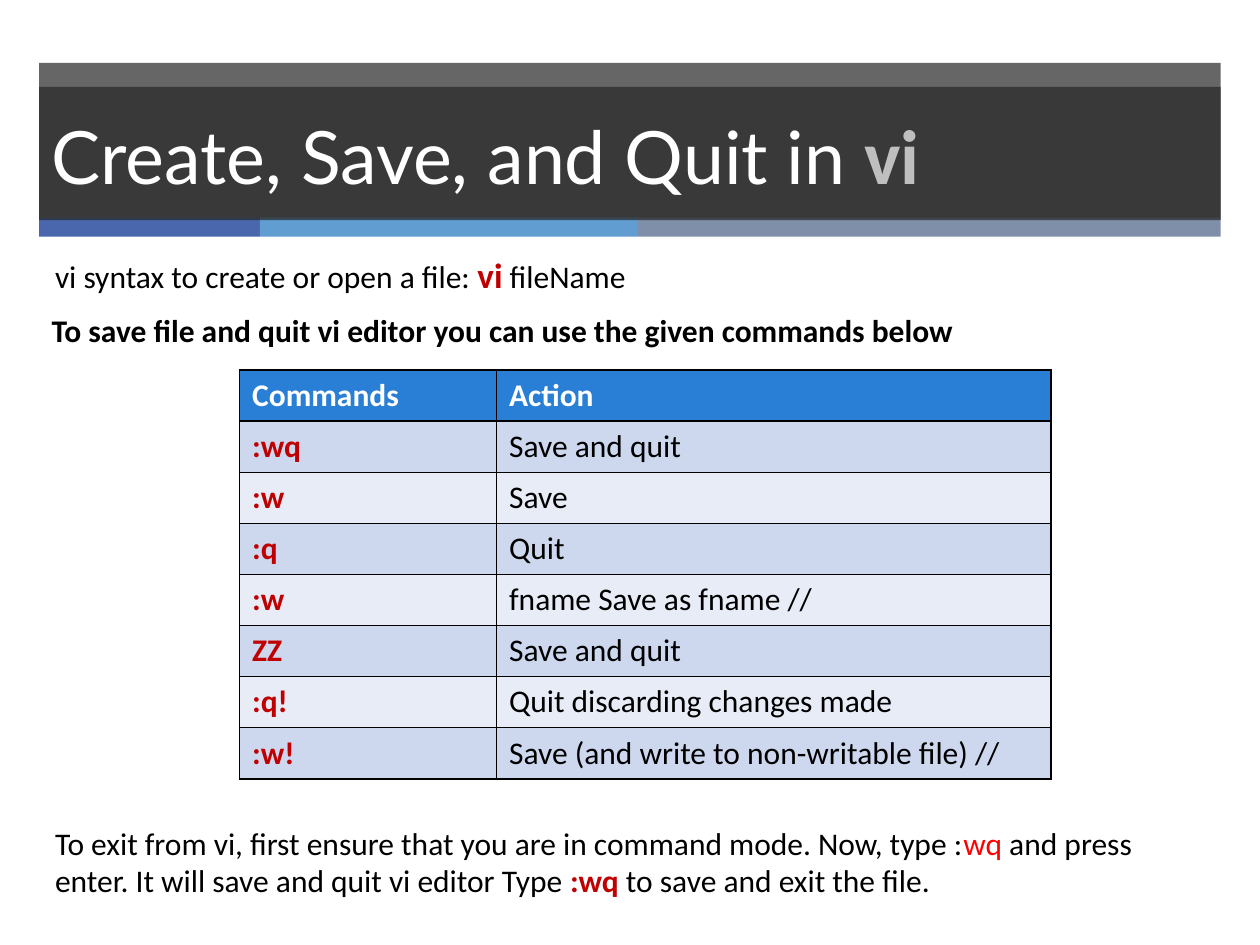
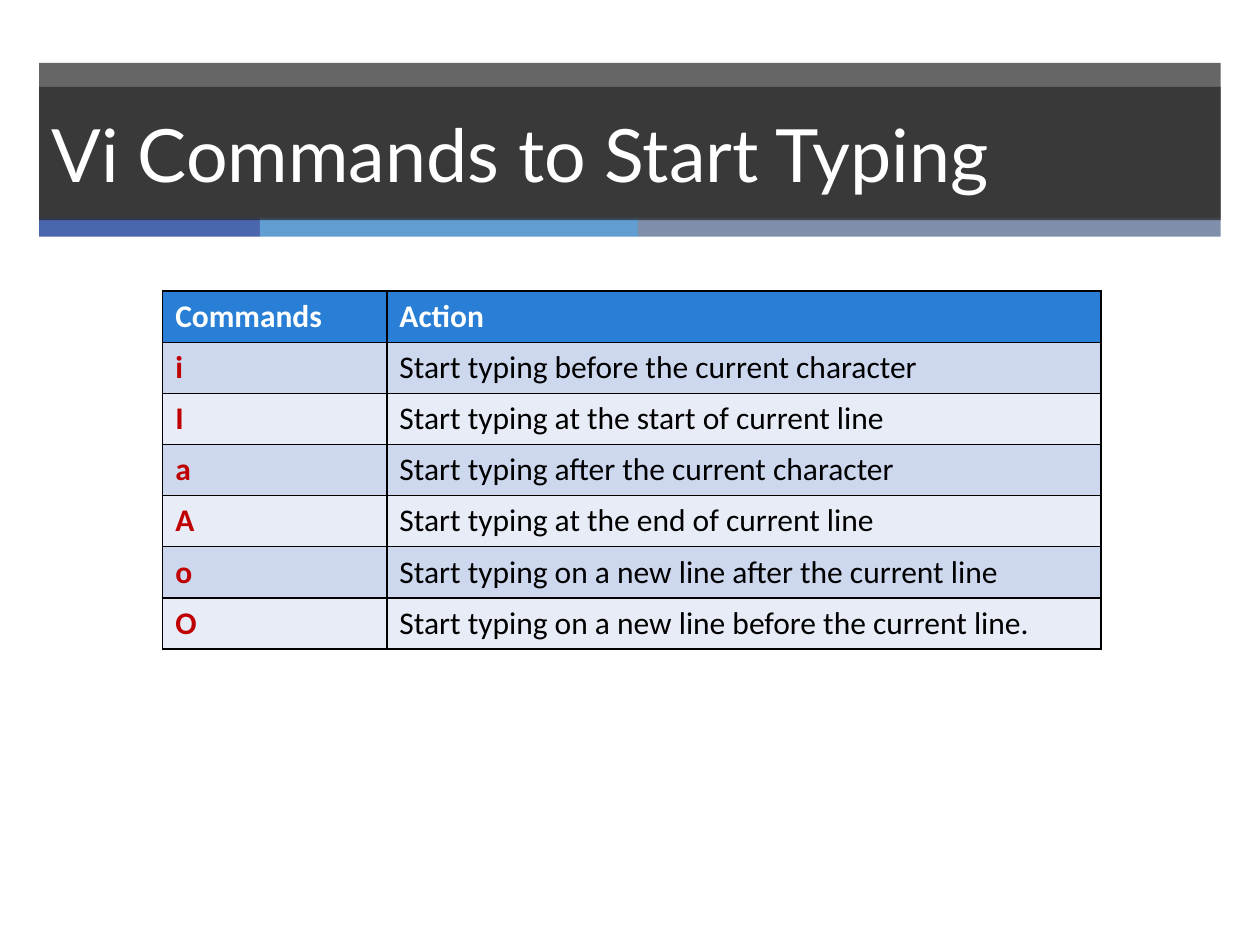
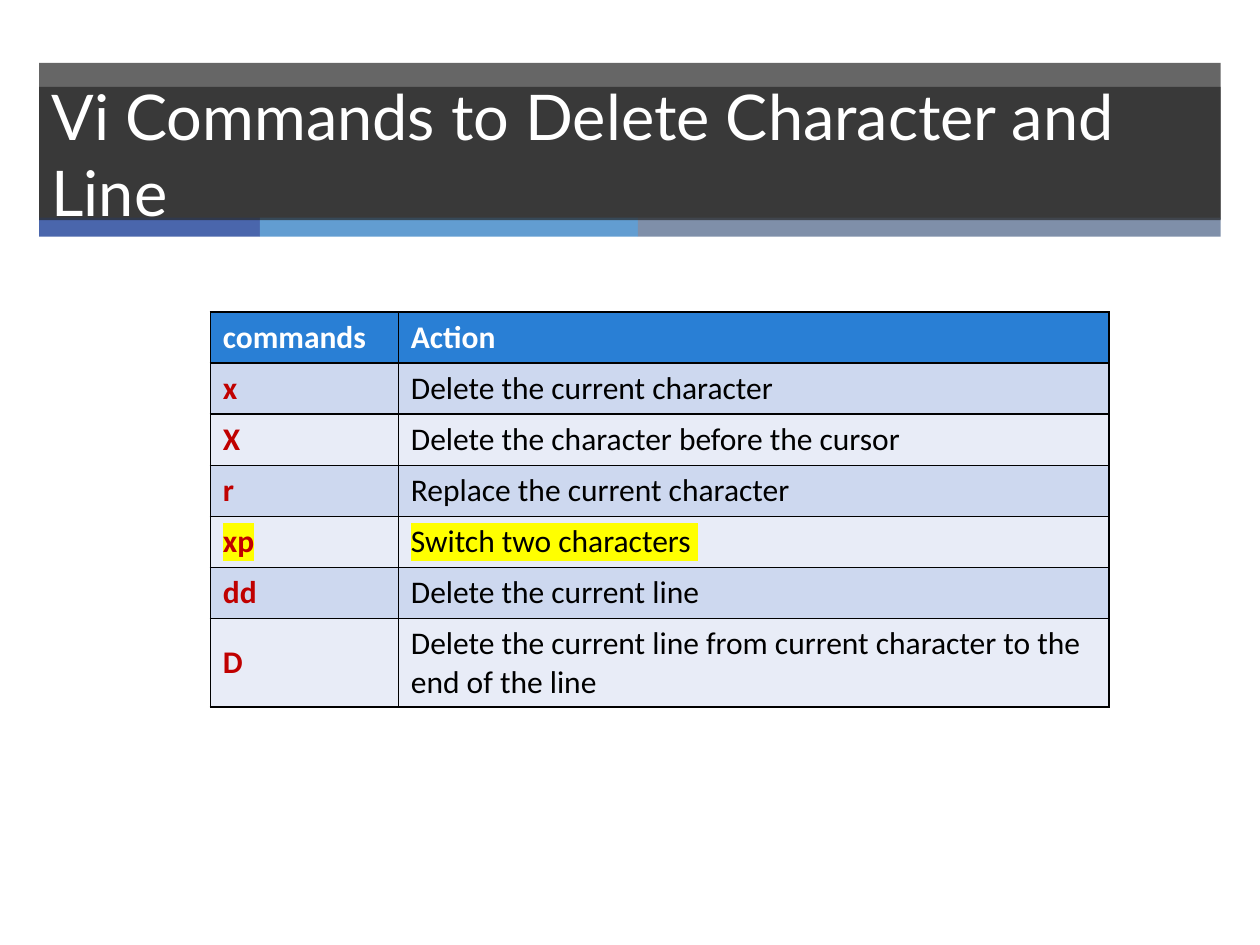
from lxml import etree
from pptx import Presentation
from pptx import util as u
from pptx.dml.color import RGBColor
from pptx.enum import shapes, text
from pptx.oxml import ns

DARK = RGBColor(0x26, 0x26, 0x26)
WHITE = RGBColor(0xFF, 0xFF, 0xFF)
BLACK = RGBColor(0, 0, 0)
SILVER = RGBColor(0xBF, 0xBF, 0xBF)
CRIMSON = RGBColor(0xC0, 0, 0)
RED = RGBColor(0xFF, 0, 0)
YELLOW = RGBColor(0xFF, 0xFF, 0)
HEADER = RGBColor(0x29, 0x7F, 0xD5)
ROW_FILLS = (RGBColor(0xE8, 0xEC, 0xF7), RGBColor(0xCD, 0xD8, 0xEF))
STRIPES = (
    (4.45, RGBColor(0x4A, 0x66, 0xAC)),
    (7.62, RGBColor(0x62, 0x9D, 0xD1)),
    (11.75, RGBColor(0x7F, 0x8F, 0xA9)),
)

BANNER = (0.79, 1.27, 23.82, 3.15)
ROW_HEIGHT = 1.03
BODY = {"name": "Calibri", "size": 18, "bold": False, "color": BLACK}
STRONG = {**BODY, "bold": True}
COMMAND = {**STRONG, "color": CRIMSON}
HEAD = {**STRONG, "color": WHITE}
TITLE = {"name": "Lato", "size": 42, "bold": False, "color": WHITE}


def add_color(parent, tag, color, opacity=None):
    """Append a DrawingML colour element to parent and return it."""
    el = etree.SubElement(parent, ns.qn(tag))
    clr = etree.SubElement(el, ns.qn("a:srgbClr"), val=str(color))
    if opacity is not None:
        etree.SubElement(clr, ns.qn("a:alpha"), val=str(opacity * 1000))
    return el


def write(tf, runs):
    """Fill the first paragraph with (text, format) runs."""
    p = tf.paragraphs[0]
    for words, fmt in runs:
        r = p.add_run()
        r.text = words
        for key, value in fmt.items():
            if key == "color":
                r.font.color.rgb = value
            elif key == "highlight":
                rPr = r.font._element
                mark = add_color(rPr, "a:highlight", value)
                rPr.find(ns.qn("a:solidFill")).addnext(mark)
            else:
                setattr(r.font, key, u.Pt(value) if key == "size" else value)


def add_rect(slide, box, color, opacity=None):
    """Draw a plain filled rectangle in a box given in centimetres."""
    sp = slide.shapes.add_shape(shapes.MSO_SHAPE.RECTANGLE, *map(u.Cm, box))
    sp.shadow.inherit = False
    sp.line.fill.background()
    sp.fill.solid()
    sp.fill.fore_color.rgb = color
    if opacity is not None:
        old = sp._element.spPr.find(ns.qn("a:solidFill"))
        old.addnext(add_color(sp._element.spPr, "a:solidFill", color, opacity))
        old.getparent().remove(old)
    return sp


def add_banner(slide, box, runs):
    """Draw the dark band, the stripes under it and the slide title."""
    left, top, width, height = box
    add_rect(slide, box, DARK, 70)
    x = left
    for stripe_width, color in STRIPES:
        add_rect(slide, (x, top + height - 0.03, stripe_width, 0.38), color)
        x += stripe_width
    sp = add_rect(slide, (left, top + 0.48, width, height - 0.46), DARK, 70)
    tf = sp.text_frame
    tf.word_wrap = True
    tf.vertical_anchor = text.MSO_ANCHOR.MIDDLE
    tf.paragraphs[0].alignment = text.PP_ALIGN.LEFT
    write(tf, runs)


def add_note(slide, box, runs, wrap=False):
    """Place a line or paragraph of body text."""
    tf = slide.shapes.add_textbox(*map(u.Cm, box)).text_frame
    tf.word_wrap = wrap
    tf.auto_size = text.MSO_AUTO_SIZE.SHAPE_TO_FIT_TEXT
    write(tf, runs)


def style_cell(cell, fill):
    """Give a cell its fill, middle anchor and thin black borders."""
    cell.vertical_anchor = text.MSO_ANCHOR.MIDDLE
    cell.fill.solid()
    cell.fill.fore_color.rgb = fill
    tcPr = cell._tc.get_or_add_tcPr()
    for i, side in enumerate("LRTB"):
        ln = etree.Element(ns.qn("a:ln" + side), w=str(u.Pt(1)))
        add_color(ln, "a:solidFill", BLACK)
        tcPr.insert(i, ln)


def add_commands(slide, left, top, widths, rows, marked=None):
    """Build a command table; the row whose command is marked is highlighted."""
    box = (left, top, sum(widths), ROW_HEIGHT * len(rows))
    table = slide.shapes.add_table(
        len(rows), len(widths), *map(u.Cm, box)).table
    for col, width in zip(table.columns, widths):
        col.width = u.Cm(width)
    for i, row in enumerate(rows):
        table.rows[i].height = u.Cm(ROW_HEIGHT)
        extra = {"highlight": YELLOW} if row[0] == marked else {}
        formats = (COMMAND, BODY) if i else (HEAD, HEAD)
        for j, (words, fmt) in enumerate(zip(row, formats)):
            cell = table.cell(i, j)
            style_cell(cell, ROW_FILLS[i % 2] if i else HEADER)
            write(cell.text_frame, [(words, {**fmt, **extra})])


def new_slide(prs, runs):
    """Add a blank slide with its title banner."""
    slide = prs.slides.add_slide(prs.slide_layouts[6])
    add_banner(slide, BANNER, runs)
    return slide


def save_and_quit(prs):
    """Slide on creating, saving and quitting."""
    slide = new_slide(prs, [
        ("Create, Save, and Quit in ", TITLE),
        ("vi", {**STRONG, "size": 44, "color": SILVER}),
    ])
    add_commands(slide, 4.83, 7.46, (5.18, 11.18), [
        ("Commands", "Action"),
        (":wq", "Save and quit"),
        (":w", "Save"),
        (":q", "Quit"),
        (":w", "fname Save as fname //"),
        ("ZZ", "Save and quit"),
        (":q!", "Quit discarding changes made"),
        (":w!", "Save (and write to non-writable file) //"),
    ])
    add_note(slide, (0.86, 16.48, 23.75, 1.8), [
        ("To exit from vi, first ensure that you are in command mode. "
         "Now, type :", BODY),
        ("wq", {**BODY, "color": RED}),
        (" and press enter. It will save and quit vi editor Type ", BODY),
        (":wq", COMMAND),
        (" to save and exit the file.", BODY),
    ], wrap=True)
    add_note(slide, (0.86, 4.98, 12.17, 1.12), [
        ("vi syntax to create or open a file: ", BODY),
        ("vi", {**COMMAND, "size": 20}),
        (" fileName", BODY),
    ])
    add_note(slide, (0.79, 6.15, 18.85, 1.02), [
        ("To save file and quit vi editor you can use the given commands "
         "below", STRONG),
    ])


def start_typing(prs):
    """Slide on the insert commands."""
    slide = new_slide(prs, [("Vi Commands to Start Typing", TITLE)])
    add_commands(slide, 3.28, 5.87, (4.52, 14.4), [
        ("Commands", "Action"),
        ("i", "Start typing before the current character"),
        ("I", "Start typing at the start of current line"),
        ("a", "Start typing after the current character"),
        ("A", "Start typing at the end of current line"),
        ("o", "Start typing on a new line after the current line"),
        ("O", "Start typing on a new line before the current line."),
    ])


def delete_text(prs):
    """Slide on the delete commands."""
    slide = new_slide(prs, [
        ("Vi Commands to Delete Character and Line", {**TITLE, "size": 36}),
    ])
    add_commands(slide, 4.24, 6.29, (3.79, 14.33), [
        ("commands", "Action"),
        ("x", "Delete the current character"),
        ("X", "Delete the character before the cursor"),
        ("r", "Replace the current character"),
        ("xp", "Switch two characters "),
        ("dd", "Delete the current line"),
        ("D", "Delete the current line from current character to the end "
              "of the line"),
    ], marked="xp")


prs = Presentation()
prs.slide_width, prs.slide_height = u.Cm(25.4), u.Cm(19.05)
for build in (save_and_quit, start_typing, delete_text):
    build(prs)
prs.save("out.pptx")
